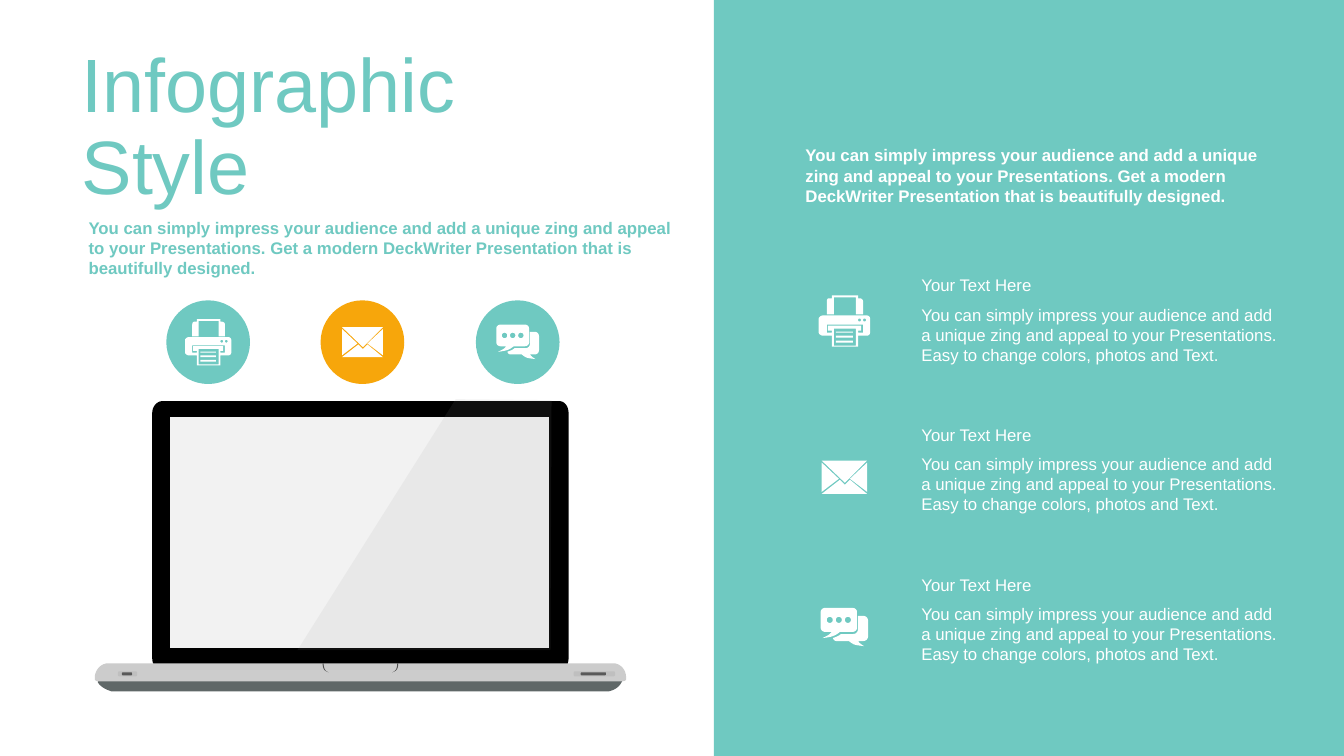
import pptx
import pptx.util
import pptx.dml.color
import pptx.enum.shapes
import pptx.enum.text
import pptx.oxml.ns
import lxml.etree

PX = 9144  # EMU in one px, 100 px to the inch
THEME = {
    "font": "Arial", "title": 54, "body": 12,
    "teal": "6FC9C1", "orange": "F7A60B", "white": "FFFFFF",
    "lid": "000000", "screen": "F2F2F2", "deck": "CCCCCC", "underside": "5F6767",
    "notch": "4D4D4D", "port": "BFBFBF", "slot": "595959", "glare": "999999",
}
SHAPES = pptx.enum.shapes.MSO_SHAPE
ANCHORS = pptx.enum.text.MSO_ANCHOR

presentation = pptx.Presentation()
presentation.slide_width = 1333 * PX
presentation.slide_height = 750 * PX
slide = presentation.slides.add_slide(presentation.slide_layouts[5])


def paint(shape, color):
    shape.fill.solid()
    shape.fill.fore_color.rgb = pptx.dml.color.RGBColor.from_string(THEME[color])
    shape.line.fill.background()
    shape.shadow.inherit = False
    return shape


def draw_outlines(outlines, color, left=0, top=0, scale=1.0):
    """Points have 2 numbers; cubic curves have 6 and become short lines."""
    builder = None
    for outline in outlines:
        points = []
        for step in outline:
            if len(step) == 2:
                points.append(step)
                continue
            corners = [points[-1], step[0:2], step[2:4], step[4:6]]
            for part in range(1, 9):
                t = part / 8
                weights = [(1 - t) ** 3, 3 * t * (1 - t) ** 2, 3 * t * t * (1 - t), t ** 3]
                points.append(tuple(sum(w * c[axis] for w, c in zip(weights, corners))
                                    for axis in (0, 1)))
        placed = [((left + x * scale) * PX, (top + y * scale) * PX) for x, y in points]
        if builder is None:
            builder = slide.shapes.build_freeform(*placed[0], scale=1.0)
        else:
            builder.move_to(*placed[0])
        builder.add_line_segments(placed[1:], close=True)
    return paint(builder.convert_to_shape(), color)


# Laptop: underside, lid, screen and deck
draw_outlines([[(603, 686), (603, 686, 613, 685, 617, 676), (617, 673, 615, 671, 613, 671),
                (102, 673), (100, 673, 97, 675, 97, 677), (101, 683, 108, 685, 111, 686)]],
              "underside")
draw_outlines([[(564, 653), (564, 660, 560, 665, 555, 665), (161, 665),
                (156, 665, 151, 660, 151, 653), (151, 410), (151, 403, 156, 398, 161, 398),
                (555, 398), (560, 398, 564, 403, 564, 410)]], "lid")
draw_outlines([[(169, 414), (545, 414), (545, 643), (169, 643)]], "screen")
draw_outlines([[(108, 658), (608, 658), (615, 658, 621, 664, 621, 672), (621, 674),
                (621, 674, 621, 676, 616, 676), (99, 676), (97, 676, 95, 676, 94, 674),
                (94, 671), (95, 664, 100, 658, 108, 658)]], "deck")
draw_outlines([[(321, 658), (320, 658), (320, 665, 323, 666, 326, 667),
                (323, 666, 321, 664, 321, 658)],
               [(394, 658), (395, 658), (395, 665, 392, 666, 389, 667),
                (392, 666, 394, 664, 394, 658)]], "notch")

# Ports on the deck
for left, top, width, height, color in [(117, 666, 19, 5, "port"), (121, 667, 10, 3, "slot"),
                                        (569, 666, 41, 5, "port"), (576, 667, 25, 3, "slot")]:
    port = slide.shapes.add_shape(SHAPES.ROUNDED_RECTANGLE,
                                  left * PX, top * PX, width * PX, height * PX)
    port.adjustments[0] = 0.28
    paint(port, color)

# See-through glare over the screen
glare = draw_outlines([[(452, 396), (547, 397), (546, 645), (295, 645)]], "glare")
glare_color = glare.fill._xPr.find(".//" + pptx.oxml.ns.qn("a:srgbClr"))
lxml.etree.SubElement(glare_color, pptx.oxml.ns.qn("a:alpha"), val="10000")

# Right-hand panel
paint(slide.shapes.add_shape(SHAPES.RECTANGLE, 708 * PX, 0, 625 * PX, 750 * PX), "teal")

# Icon outlines, with holes cut by inner outlines
boxes = [(17, 45, 34, 47), (17, 40, 34, 42), (17, 36, 34, 37), (15, 33, 37, 50)]
printer = [[(x1, y1), (x2, y1), (x2, y2), (x1, y2)] for x1, y1, x2, y2 in boxes]
printer += [[(x - 1.5, 24.5), (x - 1.5, 22.5, x + 1.5, 22.5, x + 1.5, 24.5),
             (x + 1.5, 26.5, x - 1.5, 26.5, x - 1.5, 24.5)] for x in (40.5, 45.5)]
printer += [
    [(8, 29), (8, 37), (13, 37), (13, 35), (9, 35), (9, 30), (42, 30), (42, 35), (39, 35),
     (39, 37), (44, 37), (44, 29)],
    [(4, 20), (48, 20), (50, 20, 51, 22, 51, 23), (51, 37), (51, 38, 50, 40, 48, 40), (39, 40),
     (39, 51), (13, 51), (13, 40), (4, 40), (2, 40, 0, 38, 0, 37), (0, 23),
     (0, 22, 2, 20, 4, 20)],
    [(13, 0), (39, 0), (39, 3), (41, 3), (42, 3, 44, 4, 44, 6), (44, 19), (37, 19), (37, 2),
     (15, 2), (15, 19), (8, 19), (8, 6), (8, 4, 9, 3, 10, 3), (13, 3)],
]
envelope = [
    [(28, 19), (45, 33), (0, 33), (18, 19), (23, 24)],
    [(45, 2), (45, 31), (28, 18)],
    [(0, 2), (17, 18), (0, 31)],
    [(0, 0), (45, 0), (23, 22)],
]
chat = [[(x - 3, 12), (x - 3, 8, x + 3, 8, x + 3, 12), (x + 3, 16, x - 3, 16, x - 3, 12)]
        for x in (9, 18, 27)]
chat += [
    [(37, 8), (42, 8), (45, 8, 47, 10, 47, 13), (47, 28), (47, 31, 45, 33, 42, 33), (37, 33),
     (38, 34, 38, 35, 43, 38), (34, 37, 33, 37, 28, 33), (16, 33), (14, 33, 13, 32, 12, 30),
     (15, 29, 18, 28, 20, 26), (32, 26), (35, 26, 37, 24, 37, 21)],
    [(5, 0), (31, 0), (34, 0, 36, 2, 36, 4), (36, 20), (36, 22, 34, 24, 31, 24), (19, 24),
     (14, 28, 11, 29, 2, 30), (8, 27, 8, 27, 11, 24), (5, 24), (2, 24, 0, 22, 0, 20), (0, 4),
     (0, 2, 2, 0, 5, 0)],
]

# Each icon in a circle on the left and beside its row on the right
icons = [(printer, 51, 51, "teal", 293), (envelope, 45, 33, "orange", 457),
         (chat, 47, 39, "teal", 603)]
for index, (outlines, width, height, circle_color, row_top) in enumerate(icons):
    circle_left = 165 + 307 * index // 2
    circle = slide.shapes.add_shape(SHAPES.OVAL, circle_left * PX, 298 * PX, 83 * PX, 83 * PX)
    paint(circle, circle_color)
    draw_outlines(outlines, "white", circle_left + 41.5 - 0.45 * width,
                  339.5 - 0.45 * height, 0.9)
    draw_outlines(outlines, "white", 837.5 - width / 2, row_top)

# Title, introductions and row texts
intro = ("You can simply impress your audience and add a unique zing and appeal to your "
         "Presentations. Get a modern DeckWriter Presentation that is beautifully designed.")
detail = ("You can simply impress your audience and add a unique zing and appeal to your "
          "Presentations. Easy to change colors, photos and Text.")
title = slide.shapes.title
texts = [
    (title, "Infographic Style", 71, 41, 493, 174, "title", "teal", False, ANCHORS.MIDDLE),
    (None, intro, 78, 211, 601, 71, "body", "teal", True, ANCHORS.TOP),
    (None, intro, 789, 139, 470, 71, "body", "white", True, ANCHORS.TOP),
]
for index in range(len(icons)):
    top = 268 + 297 * index // 2
    texts += [
        (None, "Your Text Here", 904, top, 374, 30, "body", "white", False, ANCHORS.MIDDLE),
        (None, detail, 904, top + 29, 374, 71, "body", "white", False, ANCHORS.TOP),
    ]
for shape, text, left, top, width, height, size, color, bold, anchor in texts:
    if shape is None:
        shape = slide.shapes.add_textbox(0, 0, PX, PX)
    shape.left, shape.top = left * PX, top * PX
    shape.width, shape.height = width * PX, height * PX
    text_frame = shape.text_frame
    text_frame.text = text
    text_frame.word_wrap = True
    text_frame.auto_size = pptx.enum.text.MSO_AUTO_SIZE.NONE
    text_frame.vertical_anchor = anchor
    paragraph = text_frame.paragraphs[0]
    paragraph.alignment = pptx.enum.text.PP_ALIGN.LEFT
    font = paragraph.runs[0].font
    font.name, font.size, font.bold = THEME["font"], pptx.util.Pt(THEME[size]), bold
    font.color.rgb = pptx.dml.color.RGBColor.from_string(THEME[color])
title.text_frame.paragraphs[0].line_spacing = 0.9

presentation.save("out.pptx")
